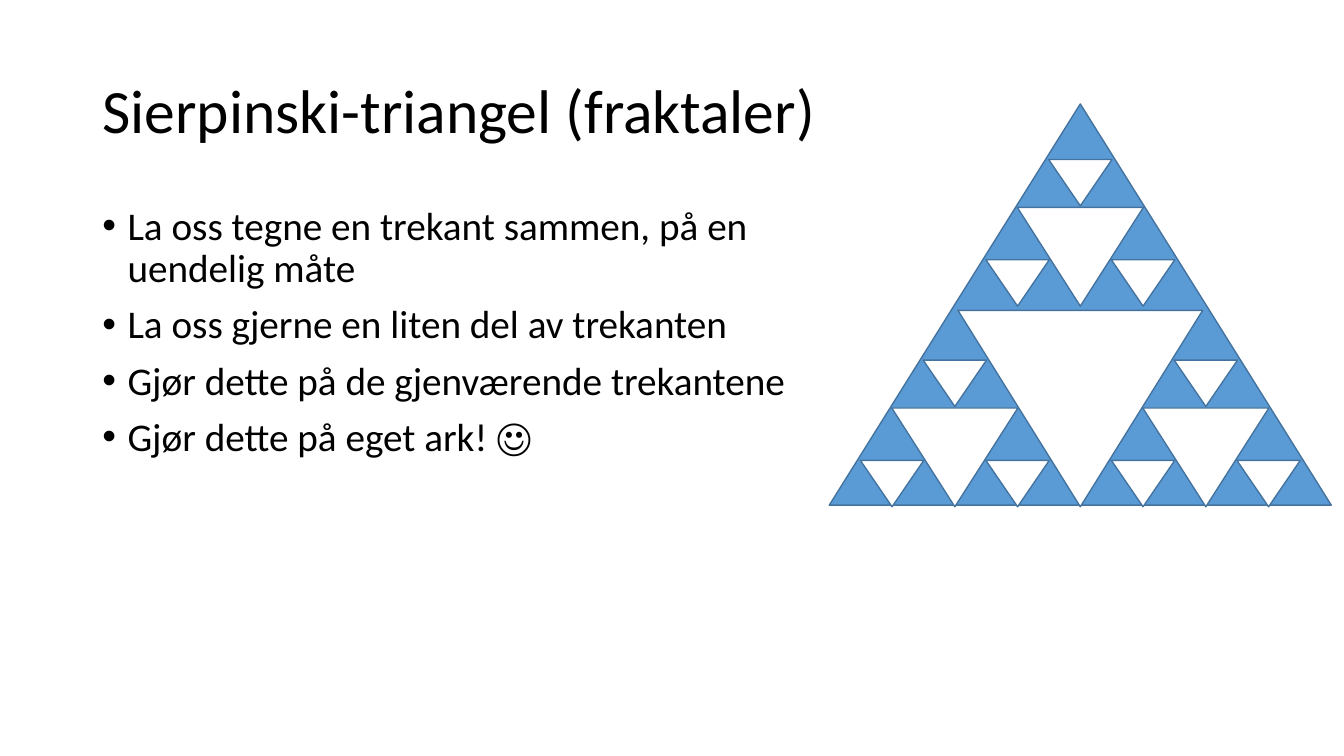
from lxml import etree
from pptx import Presentation
from pptx.dml.color import RGBColor
from pptx.enum import shapes, text
from pptx.oxml.ns import qn
from pptx.util import Cm, Pt

FONT = "Calibri"
BLACK, WHITE, BLUE, EDGE = "000000", "FFFFFF", "5B9BD5", "43739E"

TITLE = "Sierpinski-triangel (fraktaler)"
STEPS = [
    "La oss tegne en trekant sammen, på en uendelig måte",
    "La oss gjerne en liten del av trekanten",
    "Gjør dette på de gjenværende trekantene",
    "Gjør dette på eget ark! ☺",
]

# Width and height of the holes at each depth, in cm
HOLES = [(6.17, 4.95), (3.18, 2.49), (1.6, 1.17)]
DROP = 0.04  # the holes reach slightly below the base


def color(code):
    return RGBColor.from_string(code)


def add_bullet(para):
    props = para._p.get_or_add_pPr()
    props.set("marL", str(Cm(0.635)))
    props.set("indent", str(-Cm(0.635)))
    etree.SubElement(props, qn("a:buFont")).set("typeface", "Arial")
    etree.SubElement(props, qn("a:buChar")).set("char", "•")


def add_text(slide, lines, box, size=28, fill=BLACK, before=0,
             anchor=text.MSO_ANCHOR.TOP, bullet=False):
    frame = slide.shapes.add_textbox(*map(Cm, box)).text_frame
    frame.word_wrap = True
    frame.vertical_anchor = anchor
    for i, line in enumerate(lines):
        para = frame.add_paragraph() if i else frame.paragraphs[0]
        para.line_spacing = 0.9
        para.space_before = Pt(before)
        if bullet:
            add_bullet(para)
        run = para.add_run()
        run.text = line
        run.font.name = FONT
        run.font.size = Pt(size)
        run.font.color.rgb = color(fill)


def add_triangle(slide, box, fill, turn=0):
    shape = slide.shapes.add_shape(
        shapes.MSO_SHAPE.ISOSCELES_TRIANGLE, *map(Cm, box))
    shape.rotation = turn
    shape.shadow.inherit = False
    shape.fill.solid()
    shape.fill.fore_color.rgb = color(fill)
    shape.line.color.rgb = color(EDGE)
    shape.line.width = Pt(1)


def cut_holes(slide, box, depth=0):
    """Cut the middle out of a triangle, then out of its three corners."""
    if depth == len(HOLES):
        return
    left, top, width, height = box
    wide, high = HOLES[depth]
    hole = (left + (width - wide) / 2, top + height - high + DROP, wide, high)
    add_triangle(slide, hole, WHITE, turn=180)
    half, low = width / 2, height / 2
    for x, y in [(0, low), (half, low), (half / 2, 0)]:
        cut_holes(slide, (left + x, top + y, half, low), depth + 1)


def main():
    deck = Presentation()
    deck.slide_width, deck.slide_height = Cm(33.87), Cm(19.05)
    slide = deck.slides.add_slide(deck.slide_layouts[6])

    # Title and steps
    add_text(slide, [TITLE], (2.33, 1.01, 29.21, 3.68), size=44,
             anchor=text.MSO_ANCHOR.MIDDLE)
    add_text(slide, STEPS, (2.33, 5.07, 18.6, 12.09), before=10, bullet=True)

    # Fractal
    whole = (20.9, 2.62, 12.65, 10.11)
    add_triangle(slide, whole, BLUE)
    cut_holes(slide, whole)

    deck.save("out.pptx")


if __name__ == "__main__":
    main()
